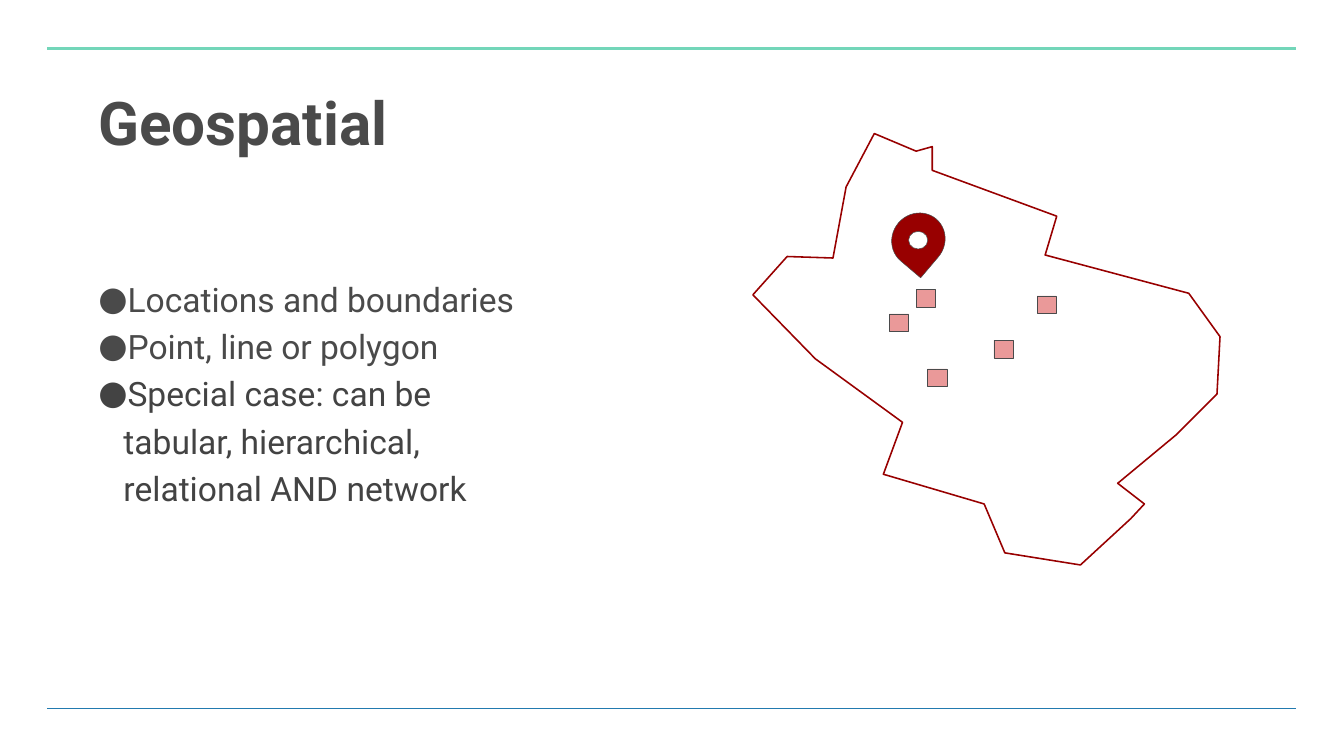
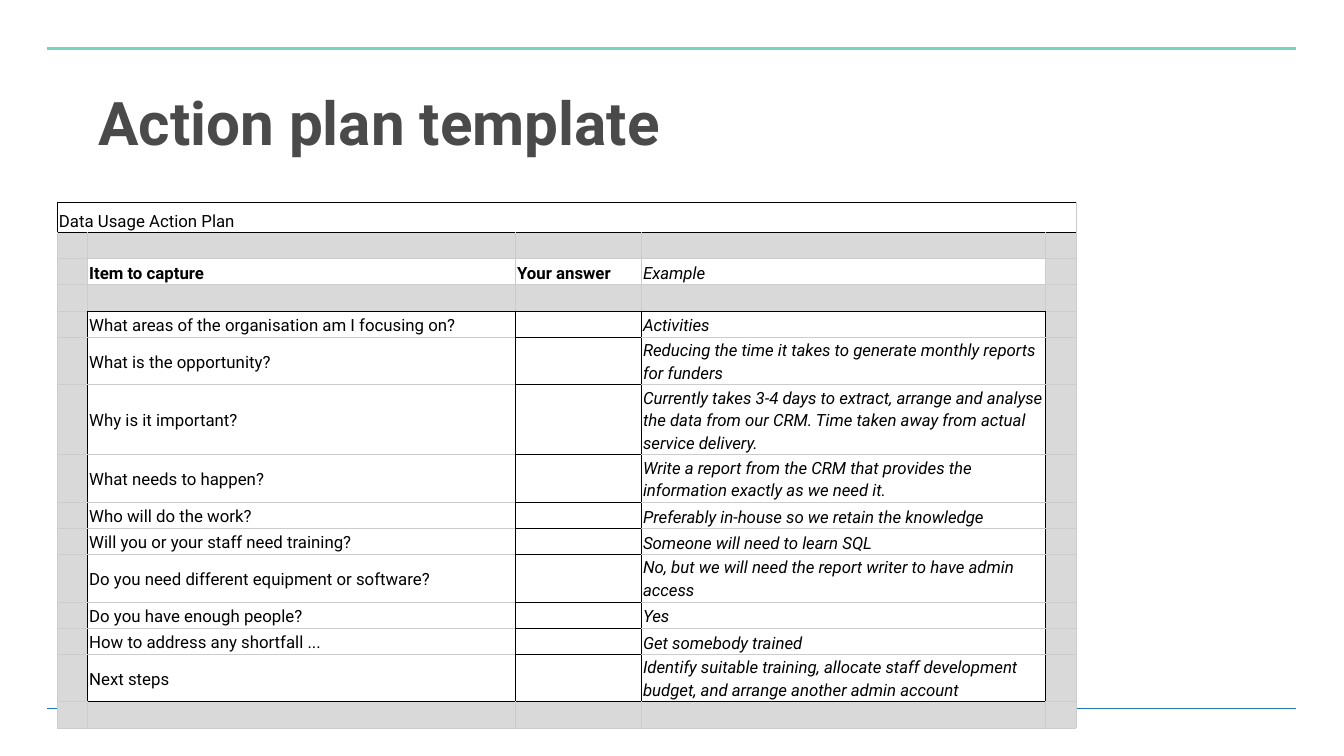
from typing import NamedTuple

import pptx
import pptx.dml.color
import pptx.enum.shapes
import pptx.enum.text
import pptx.oxml
import pptx.oxml.ns
import pptx.util

Inches = pptx.util.Inches
Pt = pptx.util.Pt
Anchor = pptx.enum.text.MSO_ANCHOR
Preset = pptx.enum.shapes.MSO_SHAPE

FONT = "Roboto"
TEXT_GREY = "4A4A4A"
BODY_GREY = "434343"
OUTLINE_GREY = "4A4A4B"
MAP_RED = "980000"
BUILDING_PINK = "EA9999"
WHITE = "FFFFFF"
BLACK = "000000"
PANEL_GREY = "D9D9D9"
GRID_GREY = "CCCCCC"


class Rule(NamedTuple):
    top: float
    colour: str
    points: float


class Marker(NamedTuple):
    preset: int
    left: float
    top: float
    width: float
    height: float
    fill: str
    rotation: float = 0


class Bullet(NamedTuple):
    text: str
    colour: str
    line_spacing: float


class PlanItem(NamedTuple):
    question: str
    example: str


RULES = [Rule(0.97, "73D6B9", 4), Rule(14.06, "227AAF", 1)]

BULLETS = [
    Bullet("Locations and boundaries", TEXT_GREY, 1.15),
    Bullet("Point, line or polygon", TEXT_GREY, 1.15),
    Bullet("Special case: can be tabular, hierarchical, relational AND network",
           BODY_GREY, 1.18),
]

BOUNDARY = [
    (18.5, 3.38), (20.97, 4.29), (20.74, 5.06), (23.59, 5.82), (24.21, 6.68),
    (24.15, 7.82), (23.35, 8.62), (22.18, 9.59), (22.71, 10), (22.44, 10.29),
    (21.44, 11.21), (19.94, 10.97), (19.53, 10), (17.53, 9.41), (17.91, 8.38),
    (16.18, 7.12), (14.94, 5.85), (15.62, 5.09), (16.53, 5.12), (16.79, 3.71),
    (17.35, 2.65), (18.18, 3), (18.5, 2.91),
]
BUILDINGS = [(18.18, 5.74), (17.65, 6.23), (19.72, 6.75), (18.41, 7.32), (20.58, 5.87)]
MARKERS = [
    Marker(Preset.TEAR, 17.68, 4.24, 1.09, 1.04, MAP_RED, 130.3),
    Marker(Preset.OVAL, 18.03, 4.59, 0.38, 0.35, WHITE),
] + [Marker(Preset.RECTANGLE, left, top, 0.38, 0.35, BUILDING_PINK)
     for left, top in BUILDINGS]

PLAN = [
    PlanItem("What areas of the organisation am I focusing on?", "Activities"),
    PlanItem("What is the opportunity?",
             "Reducing the time it takes to generate monthly reports for funders"),
    PlanItem("Why is it important?",
             "Currently takes 3-4 days to extract, arrange and analyse the data from our CRM. "
             "Time taken away from actual service delivery."),
    PlanItem("What needs to happen?",
             "Write a report from the CRM that provides the information exactly as we need it."),
    PlanItem("Who will do the work?", "Preferably in-house so we retain the knowledge"),
    PlanItem("Will you or your staff need training?", "Someone will need to learn SQL"),
    PlanItem("Do you need different equipment or software?",
             "No, but we will need the report writer to have admin access"),
    PlanItem("Do you have enough people?", "Yes"),
    PlanItem("How to address any shortfall ...", "Get somebody trained"),
    PlanItem("Next steps",
             "Identify suitable training, allocate staff development budget, "
             "and arrange another admin account"),
]
COLUMN_WIDTHS = [0.6, 8.49, 2.5, 8.02, 0.6]
ROW_HEIGHTS = [0.6, 0.52, 0.52, 0.52, 0.52, 0.79, 1.15, 0.79,
               0.52, 0.52, 0.79, 0.52, 0.52, 0.79, 0.52]
HEADING_ROW = 2
FIRST_ITEM_ROW = 4
END_ITEM_ROW = FIRST_ITEM_ROW + len(PLAN)


def rgb(colour: str) -> pptx.dml.color.RGBColor:
    return pptx.dml.color.RGBColor.from_string(colour)


def add_element(parent, tag: str, **attributes: str):
    element = pptx.oxml.ns.qn(tag)
    child = parent.makeelement(element, attributes)
    parent.append(child)
    return child


def write_text(paragraph, text: str, *, size: float, colour: str, bold: bool = False,
               italic: bool = False, line_spacing: float = 1.15) -> None:
    paragraph.alignment = pptx.enum.text.PP_ALIGN.LEFT
    paragraph.line_spacing = line_spacing
    paragraph.space_before = Pt(0)
    run = paragraph.add_run()
    run.text = text
    font = run.font
    font.name, font.size, font.bold, font.italic = FONT, Pt(size), bold, italic
    font.color.rgb = rgb(colour)


def place_text_box(shape, left: float, top: float, width: float, height: float,
                   anchor, bottom_inset: float = 0.06):
    shape.left, shape.top = Inches(left), Inches(top)
    shape.width, shape.height = Inches(width), Inches(height)
    frame = shape.text_frame
    frame.word_wrap = True
    frame.auto_size = pptx.enum.text.MSO_AUTO_SIZE.NONE
    frame.vertical_anchor = anchor
    frame.margin_left = frame.margin_right = frame.margin_top = Inches(0.06)
    frame.margin_bottom = Inches(bottom_inset)
    return frame


def add_titled_slide(presentation, layout_index: int, title: str):
    """Add a slide with the two horizontal rules and the shared title style."""
    slide = presentation.slides.add_slide(presentation.slide_layouts[layout_index])
    for rule in RULES:
        connector = slide.shapes.add_connector(
            pptx.enum.shapes.MSO_CONNECTOR.STRAIGHT,
            Inches(0.94), Inches(rule.top), Inches(25.72), Inches(rule.top))
        connector.line.color.rgb = rgb(rule.colour)
        connector.line.width = Pt(rule.points)
        add_element(connector._element.spPr, "a:effectLst")
    frame = place_text_box(slide.shapes.title, 1.89, 1.9, 22.89, 3.61, Anchor.TOP)
    write_text(frame.paragraphs[0], title, size=86, colour=TEXT_GREY, bold=True,
               line_spacing=0.8)
    return slide


def add_bullets(slide) -> None:
    frame = place_text_box(slide.placeholders[1], 1.89, 4.43, 8.53, 7.92,
                           Anchor.MIDDLE, bottom_inset=1.33)
    for index, bullet in enumerate(BULLETS):
        paragraph = frame.add_paragraph() if index else frame.paragraphs[0]
        properties = paragraph._p.get_or_add_pPr()
        properties.set("marL", str(Inches(0.5)))
        properties.set("indent", str(Inches(-0.58)))
        add_element(add_element(properties, "a:buClr"), "a:srgbClr", val=bullet.colour)
        add_element(properties, "a:buFont", typeface=FONT)
        add_element(properties, "a:buChar", char="●")
        write_text(paragraph, bullet.text, size=48, colour=bullet.colour,
                   line_spacing=bullet.line_spacing)


def add_boundary(slide) -> None:
    points = [(Inches(x), Inches(y)) for x, y in BOUNDARY]
    builder = slide.shapes.build_freeform(*points[0])
    builder.add_line_segments(points[1:], close=True)
    shape = builder.convert_to_shape()
    shape.shadow.inherit = False
    shape.fill.background()
    shape.line.color.rgb = rgb(MAP_RED)
    shape.line.width = Pt(2.25)


def add_marker(slide, marker: Marker) -> None:
    shape = slide.shapes.add_shape(marker.preset, Inches(marker.left), Inches(marker.top),
                                   Inches(marker.width), Inches(marker.height))
    shape.rotation = marker.rotation
    shape.shadow.inherit = False
    shape.fill.solid()
    shape.fill.fore_color.rgb = rgb(marker.fill)
    shape.line.color.rgb = rgb(OUTLINE_GREY)
    shape.line.width = Pt(0.75)


def is_item_row(row: int) -> bool:
    return FIRST_ITEM_ROW <= row < END_ITEM_ROW


def vertical_edge(row: int, position: int) -> str:
    """Colour of the edge left of the column at this position."""
    if row == 0:
        dark = position in (0, len(COLUMN_WIDTHS))
    else:
        dark = is_item_row(row) and 1 <= position <= 4
    return BLACK if dark else GRID_GREY


def horizontal_edge(position: int, column: int) -> str:
    """Colour of the edge above the row at this position."""
    frames_items = position in (FIRST_ITEM_ROW, END_ITEM_ROW) and 1 <= column <= 3
    splits_answers = is_item_row(position) and column == 2
    return BLACK if position <= 1 or frames_items or splits_answers else GRID_GREY


def format_cell(cell, row: int, column: int) -> None:
    cell.margin_left = cell.margin_right = Inches(0.03)
    cell.margin_top = cell.margin_bottom = Inches(0.02)
    in_panel = row != 0 and (column in (0, 4) or not (row == HEADING_ROW or is_item_row(row)))
    if row == 0 or in_panel:
        cell.fill.solid()
        cell.fill.fore_color.rgb = rgb(PANEL_GREY if in_panel else WHITE)
    else:
        cell.fill.background()
    edges = {
        "a:lnL": vertical_edge(row, column),
        "a:lnR": vertical_edge(row, column + 1),
        "a:lnT": horizontal_edge(row, column),
        "a:lnB": horizontal_edge(row + 1, column),
    }
    properties = cell._tc.get_or_add_tcPr()
    for index, (tag, colour) in enumerate(edges.items()):
        line = add_element(properties, tag, w=str(Pt(0.75)))
        add_element(add_element(line, "a:solidFill"), "a:srgbClr", val=colour)
        properties.insert(index, line)


def add_plan_table(slide) -> None:
    table = slide.shapes.add_table(
        len(ROW_HEIGHTS), len(COLUMN_WIDTHS), Inches(1.14), Inches(4.01),
        Inches(sum(COLUMN_WIDTHS)), Inches(sum(ROW_HEIGHTS))).table
    table.first_row = table.horz_banding = False
    for column, width in zip(table.columns, COLUMN_WIDTHS):
        column.width = Inches(width)
    for row, height in zip(table.rows, ROW_HEIGHTS):
        row.height = Inches(height)
    for row in range(len(ROW_HEIGHTS)):
        for column in range(len(COLUMN_WIDTHS)):
            format_cell(table.cell(row, column), row, column)
    table.cell(0, 0).merge(table.cell(0, len(COLUMN_WIDTHS) - 1))

    def fill_cell(row: int, column: int, text: str, anchor=Anchor.BOTTOM,
                  **text_format: bool) -> None:
        cell = table.cell(row, column)
        cell.vertical_anchor = anchor
        write_text(cell.text_frame.paragraphs[0], text, size=24, colour=BLACK, **text_format)

    fill_cell(0, 0, "Data Usage Action Plan")
    fill_cell(HEADING_ROW, 1, "Item to capture", bold=True)
    fill_cell(HEADING_ROW, 2, "Your answer", bold=True)
    fill_cell(HEADING_ROW, 3, "Example", italic=True)
    for row, item in enumerate(PLAN, FIRST_ITEM_ROW):
        fill_cell(row, 1, item.question, Anchor.MIDDLE)
        fill_cell(row, 3, item.example, italic=True)


def main() -> None:
    presentation = pptx.Presentation()
    presentation.slide_width = Inches(26.67)
    presentation.slide_height = Inches(15)

    geospatial = add_titled_slide(presentation, 1, "Geospatial")
    add_bullets(geospatial)
    add_boundary(geospatial)
    for marker in MARKERS:
        add_marker(geospatial, marker)

    action_plan = add_titled_slide(presentation, 5, "Action plan template")
    add_plan_table(action_plan)

    presentation.save("out.pptx")


if __name__ == "__main__":
    main()
